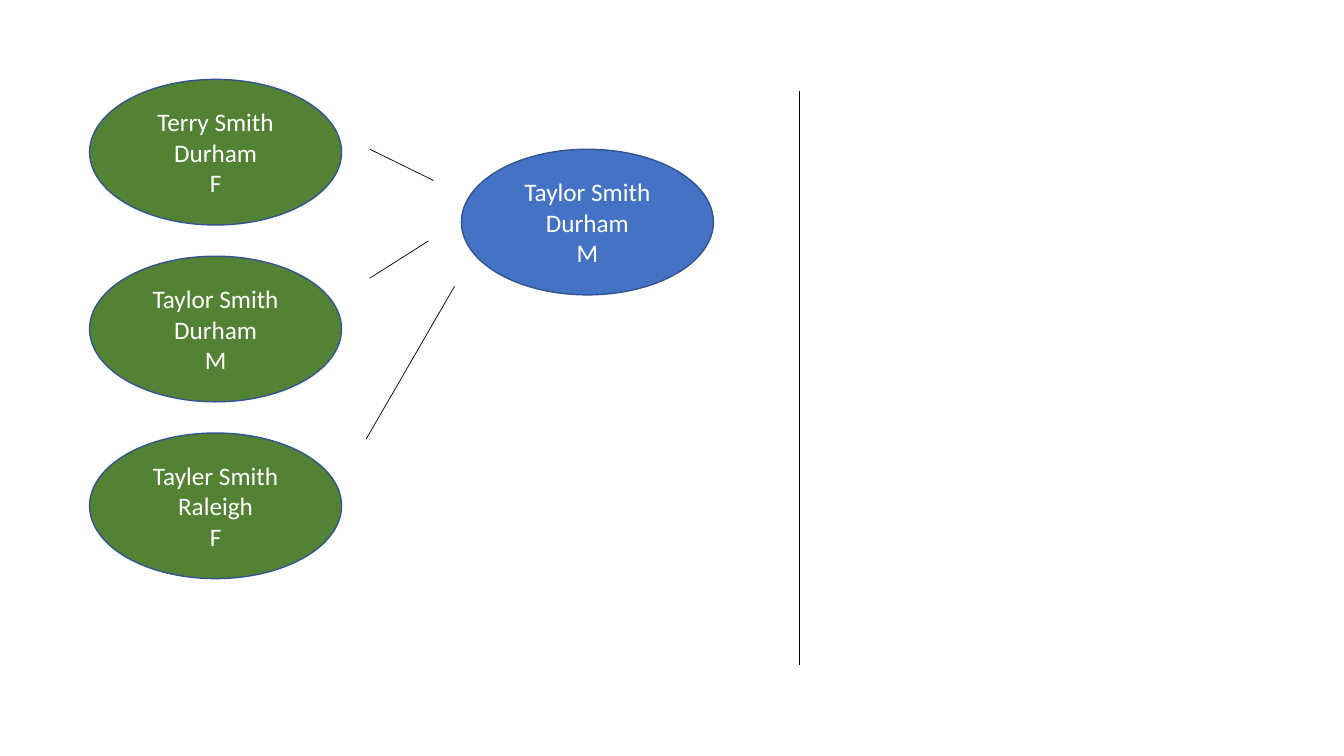
import pptx
import pptx.dml.color
import pptx.enum.shapes
import pptx.enum.text
import pptx.util
import pptx.oxml

COLORS = {"record": "548235", "match": "4472C4", "outline": "325491", "text": "FFFFFF", "line": "000000"}
RECORDS = [
    ("Terry Smith", "Durham", "F"),
    ("Taylor Smith", "Durham", "M"),
    ("Tayler Smith", "Raleigh", "F"),
]
MATCH = ("Taylor Smith", "Durham", "M")
LINKS = [
    ((264.2, 106.6), (309.6, 128.9)),
    ((264.2, 198.7), (306, 172.1)),
    ((261.4, 313.9), (324.7, 204.5)),
]
DIVIDER = ((571, 64.8), (571, 475.2))

SLIDE_SIZE = (960, 540)
OVAL_SIZE = (180, 104)
RECORD_LEFT, RECORD_TOP, RECORD_STEP = 64, 56.7, 126.3
MATCH_POSITION = (329.6, 106.6)
FONT = {"name": "Calibri", "size": pptx.util.Pt(18)}


def rgb(name):
    return pptx.dml.color.RGBColor.from_string(COLORS[name])


def add_person(slide, details, position, fill):
    box = [pptx.util.Pt(value) for value in (*position, *OVAL_SIZE)]
    shape = slide.shapes.add_shape(pptx.enum.shapes.MSO_SHAPE.OVAL, *box)
    shape.shadow.inherit = False
    shape.fill.solid()
    shape.fill.fore_color.rgb = rgb(fill)
    shape.line.color.rgb = rgb("outline")
    shape.line.width = pptx.util.Pt(1)
    frame = shape.text_frame
    frame.text = "\n".join(details)
    frame.word_wrap = True
    frame.vertical_anchor = pptx.enum.text.MSO_ANCHOR.MIDDLE
    for paragraph in frame.paragraphs:
        paragraph.alignment = pptx.enum.text.PP_ALIGN.CENTER
        font = paragraph.runs[0].font
        for attribute, value in FONT.items():
            setattr(font, attribute, value)
        font.color.rgb = rgb("text")


def add_line(slide, start, end):
    ends = [pptx.util.Pt(value) for value in (*start, *end)]
    connector = slide.shapes.add_connector(pptx.enum.shapes.MSO_CONNECTOR.STRAIGHT, *ends)
    connector.line.color.rgb = rgb("line")
    connector.line.width = pptx.util.Pt(0.5)
    connector._element.spPr.append(pptx.oxml.parse_xml(
        '<a:effectLst xmlns:a="http://schemas.openxmlformats.org/drawingml/2006/main"/>'))


def main():
    presentation = pptx.Presentation()
    presentation.slide_width, presentation.slide_height = map(pptx.util.Pt, SLIDE_SIZE)
    slide = presentation.slides.add_slide(presentation.slide_layouts[6])
    for row, details in enumerate(RECORDS):
        add_person(slide, details, (RECORD_LEFT, RECORD_TOP + row * RECORD_STEP), "record")
    add_person(slide, MATCH, MATCH_POSITION, "match")
    for start, end in [*LINKS, DIVIDER]:
        add_line(slide, start, end)
    presentation.save("out.pptx")


if __name__ == "__main__":
    main()
